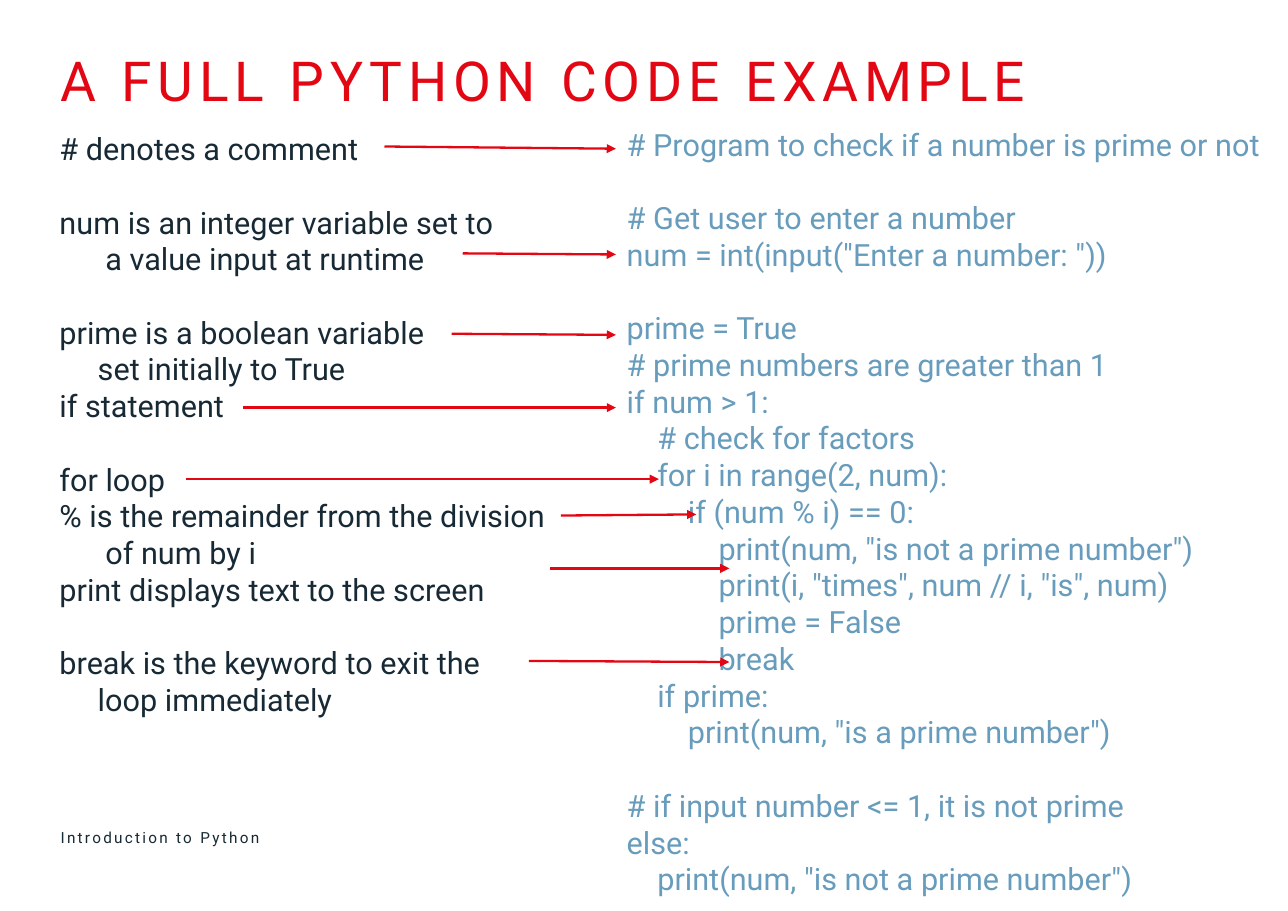
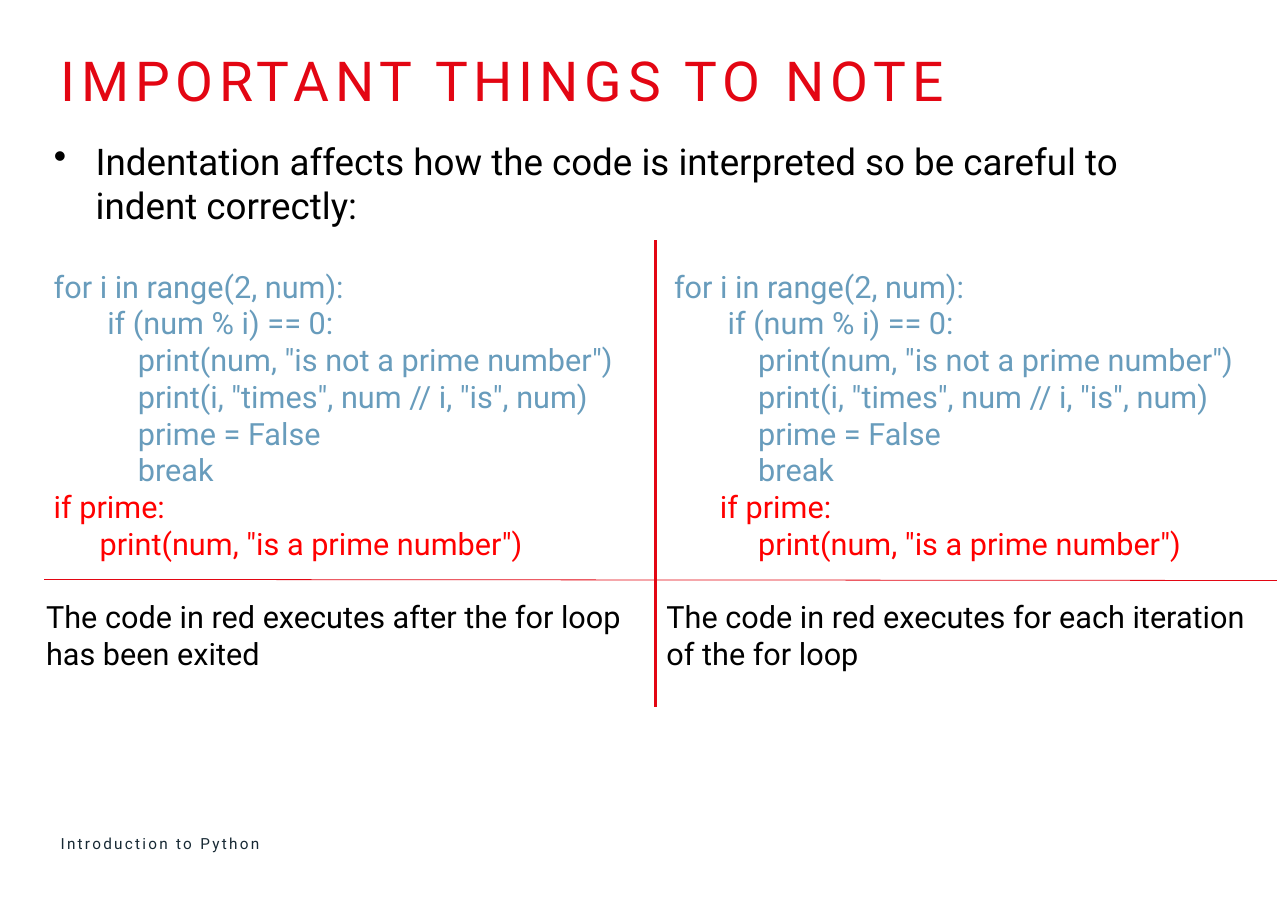
from pptx import Presentation
from pptx.dml.color import RGBColor
from pptx.enum.shapes import MSO_CONNECTOR
from pptx.enum.text import MSO_ANCHOR, PP_ALIGN
from pptx.oxml.ns import qn
from pptx.util import Inches, Pt
from lxml.etree import SubElement

FONT = "Roboto"
RED, INK, BLUE = "E30613", "172934", "689CBC"
BLACK, ALERT = "000000", "FF0000"
SPACE = Pt(5)  # indent for one leading space
LINE = Pt(24)  # gap for one blank line

NOTES = """\
# denotes a comment

num is an integer variable set to
      a value input at runtime

prime is a boolean variable
     set initially to True
if statement

for loop
% is the remainder from the division
      of num by i
print displays text to the screen

break is the keyword to exit the
     loop immediately"""

CODE = """\
# Program to check if a number is prime or not

# Get user to enter a number
num = int(input("Enter a number: "))

prime = True
# prime numbers are greater than 1
if num > 1:
    # check for factors
    for i in range(2, num):
        if (num % i) == 0:
            print(num, "is not a prime number")
            print(i, "times", num // i, "is", num)
            prime = False
            break
    if prime:
        print(num, "is a prime number")

# if input number <= 1, it is not prime
else:
    print(num, "is not a prime number")"""

LOOP = """\
 for i in range(2, num):
        if (num % i) == 0:
            print(num, "is not a prime number")
            print(i, "times", num // i, "is", num)
            prime = False
            break"""

AFTER = """\
 if prime:
       print(num, "is a prime number")"""

INSIDE = """\
       if prime:
            print(num, "is a prime number")"""

AFTER_NOTE = """
The code in red executes after the for loop
has been exited"""

INSIDE_NOTE = """
The code in red executes for each iteration
of the for loop"""

ARROWS = [
    (3.49, 1.33, 5.59, 1.35),
    (4.2, 2.3, 5.59, 2.31),
    (4.1, 3.03, 5.59, 3.04),
    (2.21, 3.7, 5.59, 3.7),
    (1.69, 4.35, 5.98, 4.35),
    (5.09, 4.68, 6.32, 4.67),
    (4.99, 5.16, 6.62, 5.16),
    (4.8, 6, 6.62, 6.01),
]


def rgb(code):
    return RGBColor.from_string(code)


def style(para, size, hue, track=0):
    """Set the font of a paragraph; track is letter spacing in points."""
    font = para.font
    font.name, font.size, font.color.rgb = FONT, Pt(size), rgb(hue)
    if track:
        for run in para.runs:
            run.font._element.set("spc", str(int(track * 100)))


def clear(frame):
    frame.margin_left = frame.margin_right = 0
    frame.margin_top = frame.margin_bottom = 0


def add_box(slide, box, inset=True):
    frame = slide.shapes.add_textbox(*map(Inches, box)).text_frame
    frame.word_wrap = True
    if not inset:
        clear(frame)
    return frame


def write(frame, source, hue, size=20):
    """Add lines, with leading spaces as indents and blank lines as gaps."""
    gap = 0
    for line in source.split("\n"):
        text = line.lstrip()
        if not text:
            gap += LINE
            continue
        first = frame.paragraphs[0]
        para = frame.add_paragraph() if first.runs else first
        para.text = text
        style(para, size, hue)
        para.space_before = gap
        props = para._p.get_or_add_pPr()
        props.set("marL", str((len(line) - len(text)) * SPACE))
        gap = 0


def add_line(slide, ends, width=1.5, arrow=False):
    line = slide.shapes.add_connector(MSO_CONNECTOR.STRAIGHT, *map(Inches, ends))
    line.line.color.rgb = rgb(RED)
    line.line.width = Pt(width)
    if arrow:
        SubElement(line.line._get_or_add_ln(), qn("a:tailEnd"), type="triangle")
    SubElement(line._element.spPr, qn("a:effectLst"))


def add_page(deck, heading, foot):
    """Add a slide with its title, and a footer at height foot."""
    slide = deck.slides.add_slide(deck.slide_layouts[5])
    title = slide.shapes.title
    title.left, title.top = Inches(0.55), Inches(0.42)
    title.width, title.height = Inches(10.71), Inches(0.62)
    frame = title.text_frame
    clear(frame)
    frame.vertical_anchor = MSO_ANCHOR.TOP
    frame.text = heading
    para = frame.paragraphs[0]
    para.alignment = PP_ALIGN.LEFT
    style(para, 36, RED, 3.8)

    frame = add_box(slide, (0.55, foot, 7.29, 0.22), inset=False)
    frame.vertical_anchor = MSO_ANCHOR.MIDDLE
    frame.text = "Introduction to Python"
    style(frame.paragraphs[0], 10, INK, 1.5)
    return slide


def add_bullet(slide, box, text):
    frame = add_box(slide, box)
    write(frame, text, BLACK, 24)
    props = frame.paragraphs[0]._p.get_or_add_pPr()
    props.set("marL", str(Inches(0.38)))
    props.set("indent", str(-Inches(0.38)))
    mark = props.makeelement(qn("a:buChar"), {"char": "•"})
    props.find(qn("a:defRPr")).addprevious(mark)


def add_case(slide, box, tail, note):
    """Add the loop, the lines in red that follow it, and a note."""
    frame = add_box(slide, box)
    write(frame, LOOP, BLUE)
    write(frame, tail, ALERT)
    write(frame, note, BLACK)


def add_example(deck):
    slide = add_page(deck, "A FULL PYTHON CODE EXAMPLE", 7.49)
    write(add_box(slide, (5.59, 1.09, 6.1, 7.17)), CODE, BLUE)
    write(add_box(slide, (0.54, 1.18, 4.53, 5.39), inset=False), NOTES, INK)
    for ends in ARROWS:
        add_line(slide, ends, arrow=True)


def add_advice(deck):
    slide = add_page(deck, "IMPORTANT THINGS TO NOTE", 7.55)
    add_bullet(slide, (0.39, 1.21, 10.71, 1.31),
               "Indentation affects how the code is interpreted "
               "so be careful to indent correctly:")
    add_case(slide, (0.32, 2.38, 5.84, 3.8), AFTER, AFTER_NOTE)
    add_case(slide, (5.95, 2.38, 5.75, 3.8), INSIDE, INSIDE_NOTE)
    add_line(slide, (5.95, 2.18, 5.95, 6.42))
    add_line(slide, (0.4, 5.26, 11.59, 5.27), width=0.5)


def main():
    deck = Presentation()
    deck.slide_width, deck.slide_height = Inches(11.69), Inches(8.27)
    add_example(deck)
    add_advice(deck)
    deck.save("out.pptx")


if __name__ == "__main__":
    main()
